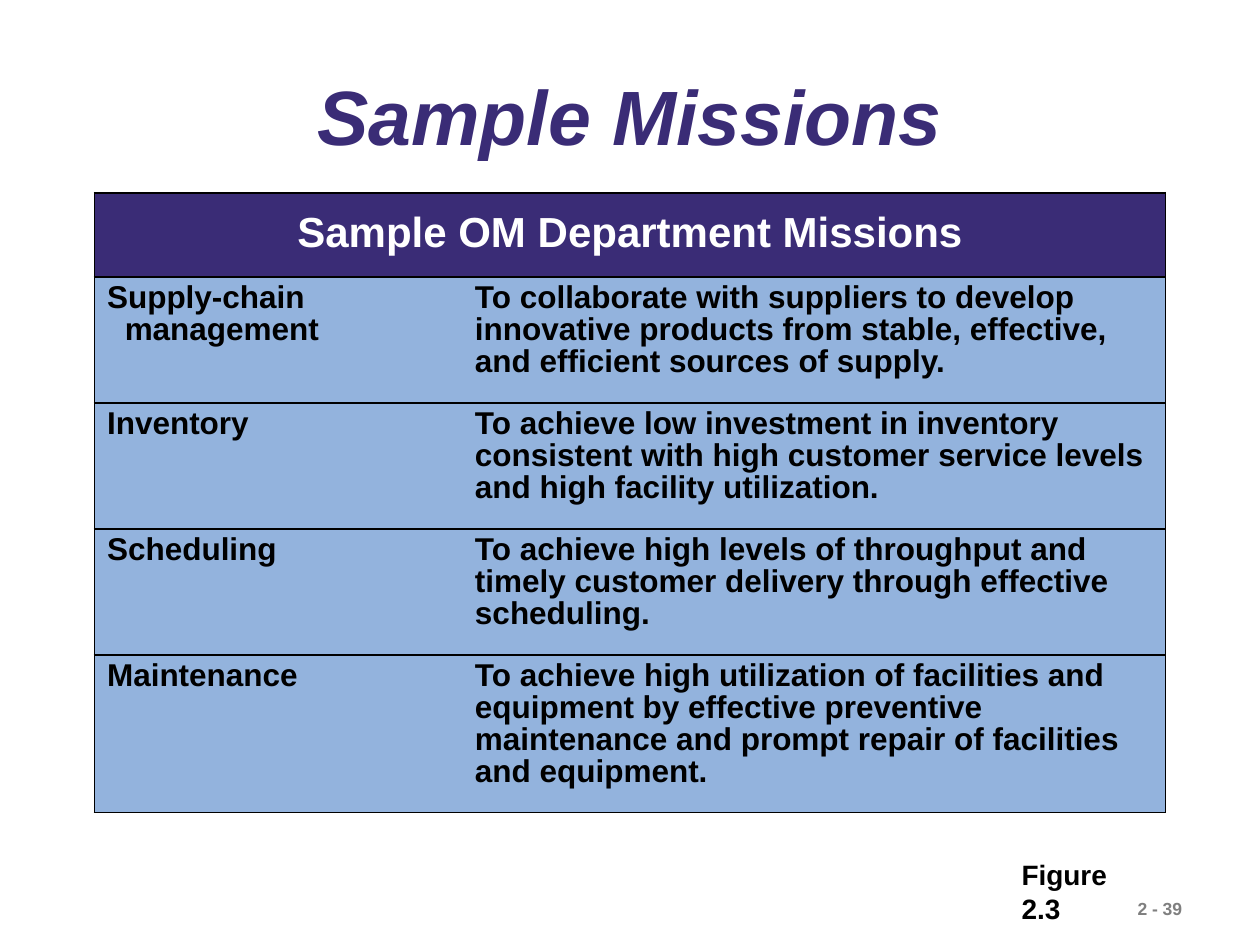
from typing import NamedTuple

from lxml.etree import SubElement
from pptx import Presentation
from pptx.dml.color import RGBColor
from pptx.enum.text import MSO_ANCHOR as Anchor, PP_ALIGN as Align
from pptx.oxml.ns import qn
from pptx.util import Inches, Pt

PURPLE, BLUE, BLACK, WHITE, GRAY = "3A2C76", "93B3DD", "000000", "FFFFFF", "7F7F7F"


class Style(NamedTuple):
    size: float
    color: str
    italic: bool = False
    align: Align = Align.LEFT
    spacing: float = 1.0
    after: float = 0


class Label(NamedTuple):
    text: str
    box: tuple[float, float, float, float]
    style: Style
    wrap: bool = False
    anchor: Anchor = Anchor.TOP


class Mission(NamedTuple):
    department: str
    statement: str
    height: float = 1.0


HEADER = Style(24, WHITE, align=Align.CENTER, spacing=0.9, after=12)
BODY = Style(18, BLACK, spacing=0.9, after=9)
LABELS = [
    Label("2 - 39", (8.93, 7.08, 1.07, 0.27), Style(10, GRAY)),
    Label("Sample Missions", (0.75, 0.48, 8.5, 0.95),
          Style(44, PURPLE, True, Align.CENTER, 0.9), True, Anchor.MIDDLE),
    Label("Figure 2.3", (8.01, 6.76, 1.24, 0.37), Style(16, BLACK)),
]
MISSIONS = [
    Mission("Supply-chain\nmanagement",
            "To collaborate with suppliers to develop innovative products from "
            "stable, effective, and efficient sources of supply."),
    Mission("Inventory",
            "To achieve low investment in inventory consistent with high "
            "customer service levels and high facility utilization."),
    Mission("Scheduling",
            "To achieve high levels of throughput and timely customer delivery "
            "through effective scheduling."),
    Mission("Maintenance",
            "To achieve high utilization of facilities and equipment by effective "
            "preventive maintenance and prompt repair of facilities and equipment.", 1.25),
]
HEADER_HEIGHT = 0.67
COLUMNS = (2.92, 5.58)


def rgb(color: str) -> RGBColor:
    return RGBColor.from_string(color)


def write(tf, text: str, style: Style) -> None:
    p = tf.paragraphs[0]
    p.alignment, p.line_spacing = style.align, style.spacing
    p.space_after = Pt(style.after)
    for i, line in enumerate(text.split("\n")):
        if i:
            p.add_line_break()
        r = p.add_run()
        r.text = line
        r.font.name, r.font.size = "Arial", Pt(style.size)
        r.font.bold, r.font.italic = True, style.italic
        r.font.color.rgb = rgb(style.color)


def add_label(slide, label: Label) -> None:
    s = slide.shapes.add_textbox(*map(Inches, label.box))
    tf = s.text_frame
    tf.word_wrap, tf.vertical_anchor = label.wrap, label.anchor
    write(tf, label.text, label.style)


def set_borders(cell, sides: str) -> None:
    tc_pr = cell._tc.get_or_add_tcPr()
    for side in "LRTB":
        ln = SubElement(tc_pr, qn(f"a:ln{side}"), w=str(Pt(1.08)))
        if side in sides:
            fill = SubElement(ln, qn("a:solidFill"))
            SubElement(fill, qn("a:srgbClr"), val=BLACK)
        else:
            SubElement(ln, qn("a:noFill"))


def paint_cell(cell, color: str, sides: str) -> None:
    set_borders(cell, sides)
    cell.fill.solid()
    cell.fill.fore_color.rgb = rgb(color)
    cell.margin_left = cell.margin_right = Inches(0.1)
    cell.margin_top = cell.margin_bottom = Inches(0.05)


def add_missions(slide, missions: list[Mission]) -> None:
    heights = [HEADER_HEIGHT, *(m.height for m in missions)]
    s = slide.shapes.add_table(len(heights), len(COLUMNS), Inches(0.75), Inches(1.53),
                               Inches(sum(COLUMNS)), Inches(sum(heights)))
    table = s.table
    table.first_row = table.horz_banding = False
    for column, width in zip(table.columns, COLUMNS):
        column.width = Inches(width)
    for row, height in zip(table.rows, heights):
        row.height = Inches(height)
    title = table.cell(0, 0)
    title.merge(table.cell(0, 1))
    paint_cell(title, PURPLE, "LRTB")
    paint_cell(table.cell(0, 1), PURPLE, "RTB")
    title.vertical_anchor = Anchor.MIDDLE
    write(title.text_frame, "Sample OM Department Missions", HEADER)
    for i, mission in enumerate(missions, 1):
        texts = (mission.department, mission.statement)
        for j, (text, sides) in enumerate(zip(texts, ("LTB", "RTB"))):
            cell = table.cell(i, j)
            paint_cell(cell, BLUE, sides)
            write(cell.text_frame, text, BODY)
        p_pr = table.cell(i, 0).text_frame.paragraphs[0]._p.get_or_add_pPr()
        p_pr.set("marL", str(Inches(0.14)))
        p_pr.set("indent", str(-Inches(0.14)))


def main() -> None:
    """Build the slide of sample department missions."""
    prs = Presentation()
    prs.slide_width, prs.slide_height = Inches(10), Inches(7.5)
    slide = prs.slides.add_slide(prs.slide_layouts[6])
    for label in LABELS:
        add_label(slide, label)
    add_missions(slide, MISSIONS)
    prs.save("out.pptx")


if __name__ == "__main__":
    main()
